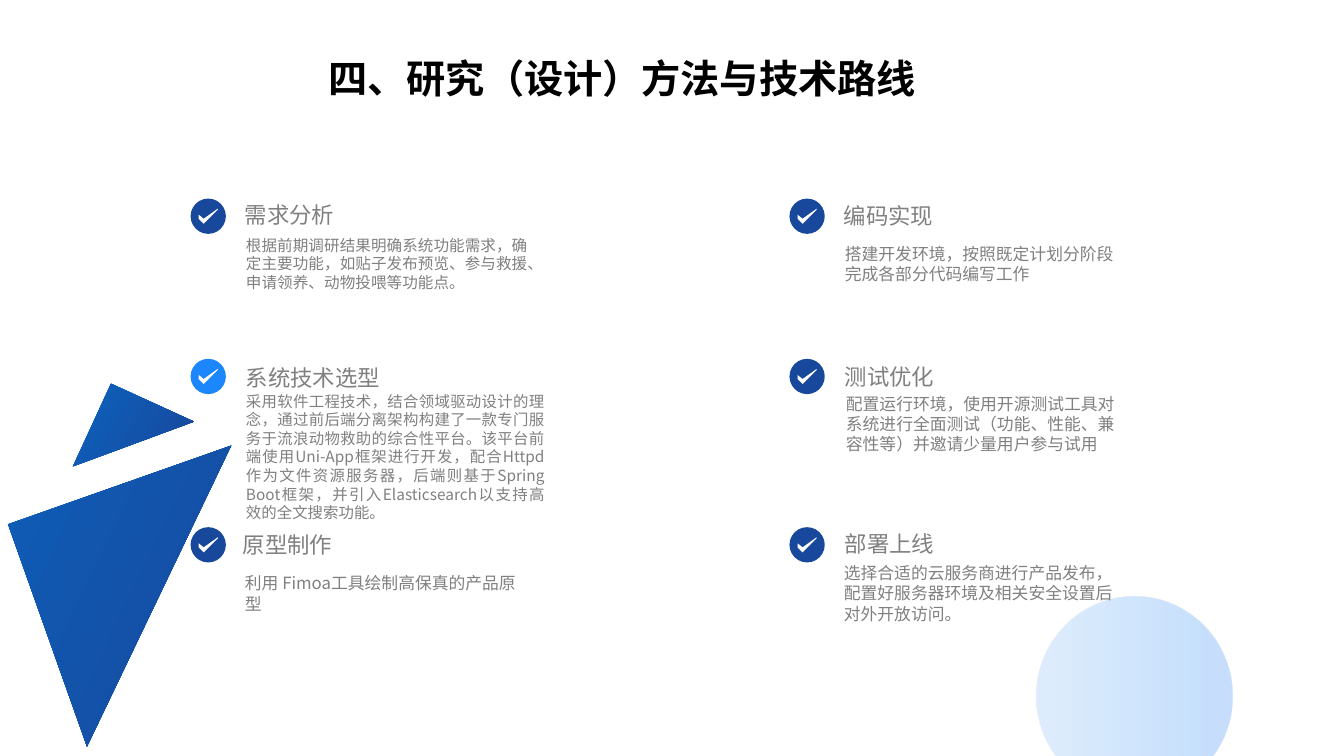
"""Builds the slide on research methods and the technical route."""
from lxml.etree import SubElement
from pptx import Presentation
from pptx.dml.color import RGBColor as RGB
from pptx.enum.shapes import MSO_SHAPE as SHAPE
from pptx.enum.text import MSO_ANCHOR as ANCHOR, MSO_AUTO_SIZE as AUTO, PP_ALIGN as ALIGN
from pptx.oxml.ns import qn
from pptx.util import Inches, Pt

COLORS = {
    "navy": "18489B", "royal": "0C62BF", "bright": "1C86FC", "pale": "8FC1FA",
    "sky": "4598F7", "gray": "808080", "black": "000000", "white": "FFFFFF",
}
FONT = "Noto Sans CJK SC"

deck = Presentation()
deck.slide_width, deck.slide_height = Inches(13.33), Inches(7.5)
slide = deck.slides.add_slide(deck.slide_layouts[6])
shapes = slide.shapes


def paint(shape, *stops, alpha=None):
    """Fills a shape with one colour name, or with (position, name) stops."""
    shape.shadow.inherit = False
    shape.line.fill.background()
    if isinstance(stops[0], str):
        shape.fill.solid()
        shape.fill.fore_color.rgb = RGB.from_string(COLORS[stops[0]])
        return
    shape.fill.gradient()
    shape.fill.gradient_angle = 0
    for stop, (place, name) in zip(shape.fill.gradient_stops, stops):
        stop.position = place
        stop.color.rgb = RGB.from_string(COLORS[name])
    if alpha:
        for color in shape.fill._xPr.iter(qn("a:srgbClr")):
            SubElement(color, qn("a:alpha"), val=str(alpha * 1000))


def write(text, box, size=12, color="gray", font=FONT, bold=False,
          align=ALIGN.LEFT, anchor=ANCHOR.MIDDLE, left=0.1, grow=False):
    """Adds a wrapped text box with one paragraph."""
    frame = shapes.add_textbox(*map(Inches, box)).text_frame
    frame.word_wrap = True
    frame.vertical_anchor = anchor
    frame.margin_left = Inches(left)
    frame.auto_size = AUTO.SHAPE_TO_FIT_TEXT if grow else AUTO.NONE
    para = frame.paragraphs[0]
    para.alignment = align
    para.line_spacing = Pt(round(size * 1.21, 1))
    run = para.add_run()
    run.text = text
    run.font.size = Pt(size)
    run.font.bold = bold
    run.font.name = font
    run.font.color.rgb = RGB.from_string(COLORS[color])
    SubElement(run.font._element, qn("a:ea"), typeface=FONT)


disc = shapes.add_shape(SHAPE.OVAL, Inches(10.28), Inches(5.92), Inches(1.94), Inches(1.97))
paint(disc, (0.08, "pale"), (0.85, "sky"), alpha=30)

outlines = [
    ([(1.66, 7.21), (0, 5.56), (1.66, 3.9)], 25.6, [(0.06, "royal"), (1, "navy")]),
    ([(0.93, 4.88), (0.83, 3.98), (1.73, 3.88)], 31, [(0.08, "royal"), (0.85, "navy")]),
]
TICK = [(0.08, 0.2), (0.13, 0.25), (0.27, 0.11), (0.27, 0.1), (0.13, 0.2), (0.08, 0.16)]
for top in (1.97, 3.56, 5.23):
    for left in (1.89, 7.83):
        outlines.append(([(left + x, top + y) for x, y in TICK], 0, ["white"]))

for points, turn, stops in outlines:
    if stops == ["white"]:
        left, top = points[0][0] - TICK[0][0], points[0][1] - TICK[0][1]
        badge = shapes.add_shape(SHAPE.OVAL, Inches(left), Inches(top), Inches(0.35), Inches(0.35))
        paint(badge, "bright" if left < 2 and 3 < top < 4 else "navy")
    corners = [(Inches(x), Inches(y)) for x, y in points]
    pen = shapes.build_freeform(*corners[0])
    pen.add_line_segments(corners[1:])
    outline = pen.convert_to_shape()
    outline.rotation = turn
    paint(outline, *stops)

steps = [
    ("需求分析", (2.33, 1.98, 2.07, 0.3),
     "根据前期调研结果明确系统功能需求，确定主要功能，如贴子发布预览、参与救援、申请领养、动物投喂等功能点。",
     (2.44, 2.28, 2.9, 0.67), {"size": 11.1}),
    ("编码实现", (8.27, 1.98, 1.75, 0.31),
     "搭建开发环境，按照既定计划分阶段完成各部分代码编写工作",
     (8.38, 2.28, 2.9, 0.67), {}),
    ("系统技术选型", (2.34, 3.55, 2.04, 0.38),
     "采用软件工程技术，结合领域驱动设计的理念，通过前后端分离架构构建了一款专门服务于流浪动物救助的综合性平台。"
     "该平台前端使用Uni-App框架进行开发，配合Httpd作为文件资源服务器，后端则基于Spring Boot框架，"
     "并引入Elasticsearch以支持高效的全文搜索功能。",
     (2.44, 3.87, 3.06, 1.32), {"size": 11, "align": ALIGN.JUSTIFY}),
    ("测试优化", (8.28, 3.53, 1.75, 0.41),
     "配置运行环境，使用开源测试工具对系统进行全面测试（功能、性能、兼容性等）并邀请少量用户参与试用",
     (8.39, 3.87, 2.9, 0.67), {}),
    ("原型制作", (2.31, 5.26, 1.87, 0.28),
     "利用 Fimoa工具绘制高保真的产品原型",
     (2.43, 5.55, 2.9, 0.67), {}),
    ("部署上线", (8.28, 5.26, 1.76, 0.27),
     "选择合适的云服务商进行产品发布，配置好服务器环境及相关安全设置后对外开放访问。",
     (8.37, 5.55, 2.9, 0.67), {}),
]
for head, spot, body, box, style in steps:
    write(head, spot, size=16)
    write(body, box, left=0, **style)

write("四、研究（设计）方法与技术路线", (3.16, 0.49, 6.67, 0.57), size=28, color="black",
      font="Arial", bold=True, anchor=ANCHOR.TOP, grow=True)

deck.save("out.pptx")
